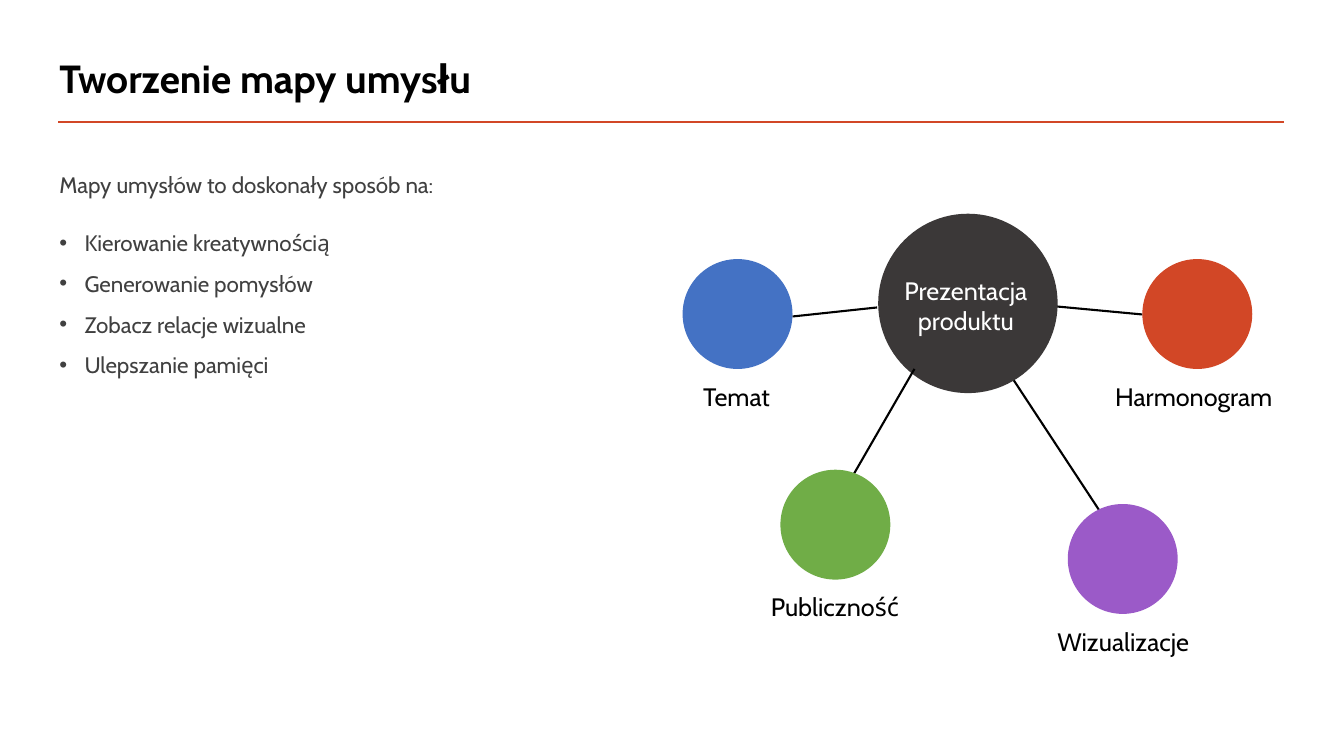
import pptx
import pptx.util
import pptx.dml.color
import pptx.enum.shapes
import pptx.enum.text
import pptx.oxml
import pptx.oxml.ns

Inches, Pt = pptx.util.Inches, pptx.util.Pt
RGB = pptx.dml.color.RGBColor.from_string
ALIGN, ANCHOR = pptx.enum.text.PP_ALIGN, pptx.enum.text.MSO_ANCHOR

TITLE = "Tworzenie mapy umysłu"
INTRO = "Mapy umysłów to doskonały sposób na:"
BENEFITS = [
    "Kierowanie kreatywnością",
    "Generowanie pomysłów",
    "Zobacz relacje wizualne",
    "Ulepszanie pamięci",
]
HUB = {"text": "Prezentacja produktu", "corner": (8.71, 2.12), "size": 1.78,
       "text_area": (8.8, 2.68, 1.56, 0.71)}
# Topic, colour name, circle corner, label left and width
TOPICS = [
    ("Temat", "blue", (6.77, 2.57), (6.65, 1.31)),
    ("Harmonogram", "red", (11.33, 2.57), (10.92, 1.84)),
    ("Publiczność", "green", (7.74, 4.66), (7.49, 1.58)),
    ("Wizualizacje", "purple", (10.59, 5.0), (10.23, 1.82)),
]
# Link ends; the hub covers the first group and lies under the second
LINKS_UNDER_HUB = [((10.04, 3.75), (10.96, 5.15)), ((10.37, 3.03), (11.33, 3.12))]
LINKS_OVER_HUB = [((8.7, 3.05), (7.86, 3.14)), ((9.07, 3.66), (8.47, 4.7))]
TOPIC_SIZE, LABEL_DROP, LABEL_HEIGHT = 1.09, 1.16, 0.4

THEME = {
    "font": "Cabin",
    "sizes": {"title": 28, "body": 16, "label": 18},
    "colors": {"black": "000000", "white": "FFFFFF", "gray": "404040",
               "dark": "3B3838", "red": "D24726", "blue": "4472C4",
               "green": "70AD47", "purple": "9B5AC8"},
}


def color(name):
    return RGB(THEME["colors"][name])


def add_text(page, area, lines, size, ink, bold=False, anchor=ANCHOR.TOP):
    """Add a text box; each line is (text, paragraph format, has bullet)."""
    box = page.shapes.add_textbox(*map(Inches, area))
    frame = box.text_frame
    frame.word_wrap = True
    frame.vertical_anchor = anchor
    for index, (text, layout, bullet) in enumerate(lines):
        para = frame.add_paragraph() if index else frame.paragraphs[0]
        for name, value in layout.items():
            setattr(para, name, value)
        if bullet:
            add_bullet(para)
        span = para.add_run()
        span.text = text
        span.font.color.rgb = color(ink)
        style = {"name": THEME["font"], "size": Pt(THEME["sizes"][size]), "bold": bold}
        for name, value in style.items():
            setattr(span.font, name, value)


def add_bullet(para):
    settings = para._p.get_or_add_pPr()
    settings.set("marL", str(Inches(0.25)))
    settings.set("indent", str(Inches(-0.25)))
    namespace = pptx.oxml.ns.nsdecls("a")
    for xml in (f'<a:buFont {namespace} typeface="Arial"/>',
                f'<a:buChar {namespace} char="•"/>'):
        settings.append(pptx.oxml.parse_xml(xml))


def add_line(page, start, end, ink, width):
    line = page.shapes.add_connector(
        pptx.enum.shapes.MSO_CONNECTOR.STRAIGHT, *map(Inches, start + end))
    line.line.color.rgb = color(ink)
    line.line.width = Pt(width)
    line._element.spPr.append(
        pptx.oxml.parse_xml(f'<a:effectLst {pptx.oxml.ns.nsdecls("a")}/>'))


def add_circle(page, corner, size, fill):
    circle = page.shapes.add_shape(
        pptx.enum.shapes.MSO_SHAPE.OVAL, *map(Inches, corner + (size, size)))
    circle.shadow.inherit = False
    circle.fill.solid()
    circle.fill.fore_color.rgb = color(fill)
    circle.line.fill.background()


def add_links(page, links):
    for start, end in links:
        add_line(page, start, end, "black", 1.5)


def add_mind_map(page):
    centered = {"alignment": ALIGN.CENTER}
    add_links(page, LINKS_UNDER_HUB)
    add_circle(page, HUB["corner"], HUB["size"], "dark")
    add_text(page, HUB["text_area"], [(HUB["text"], centered, False)], "label", "white")
    add_links(page, LINKS_OVER_HUB)
    for topic, fill, corner, (left, width) in TOPICS:
        add_circle(page, corner, TOPIC_SIZE, fill)
        area = (left, corner[1] + LABEL_DROP, width, LABEL_HEIGHT)
        add_text(page, area, [(topic, centered, False)], "label", "black")


def main():
    deck = pptx.Presentation()
    deck.slide_width, deck.slide_height = Inches(13.33), Inches(7.5)
    page = deck.slides.add_slide(deck.slide_layouts[6])
    add_line(page, (0.58, 1.21), (12.74, 1.21), "red", 2)
    add_text(page, (0.49, 0.45, 10, 0.7), [(TITLE, {"line_spacing": 0.9}, False)],
             "title", "black", bold=True, anchor=ANCHOR.MIDDLE)
    body = [(INTRO, {"space_after": Pt(12)}, False)]
    body += [(benefit, {"space_before": Pt(10)}, True) for benefit in BENEFITS]
    add_text(page, (0.49, 1.65, 5.44, 4.35), body, "body", "gray")
    add_mind_map(page)
    deck.save("out.pptx")


if __name__ == "__main__":
    main()
